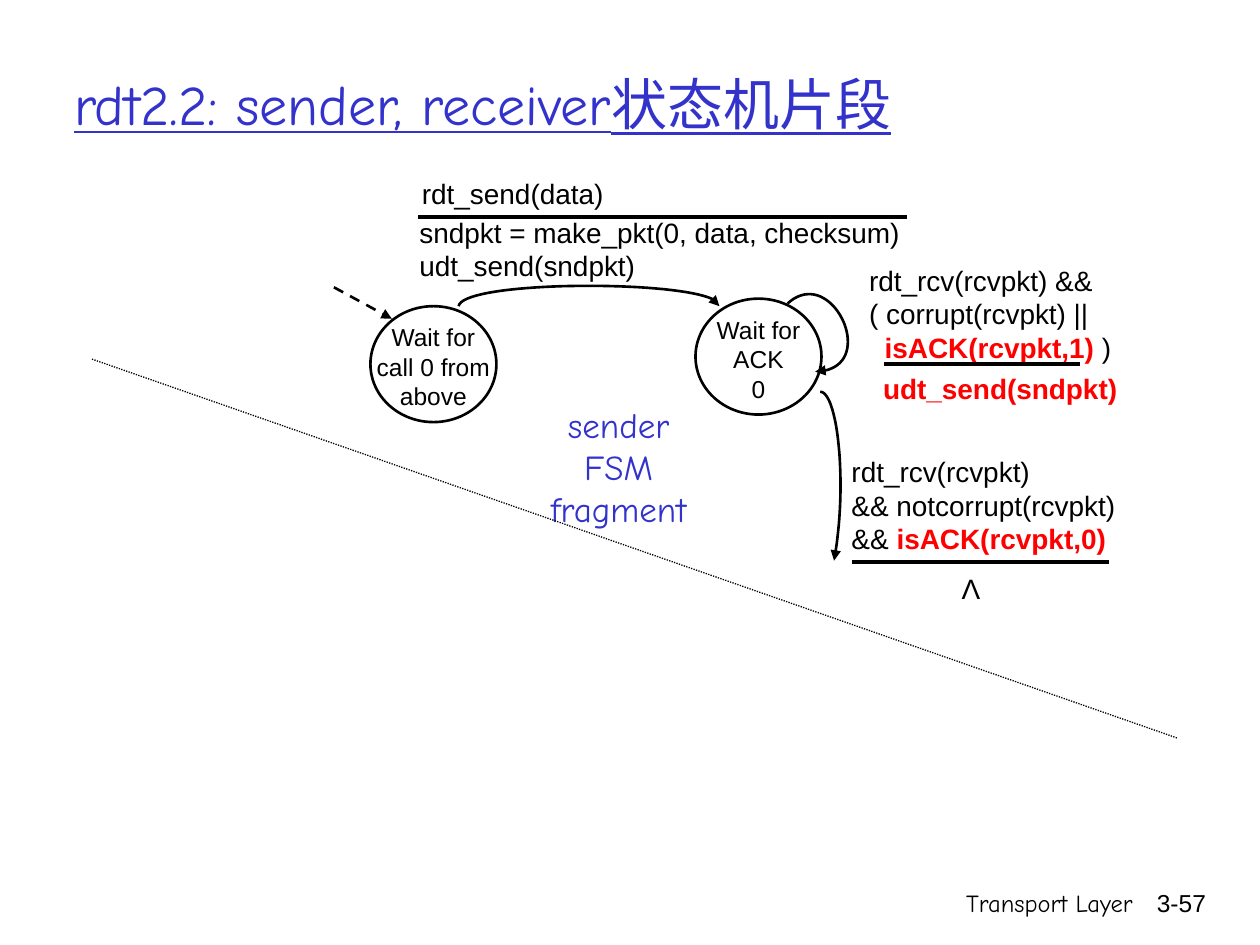
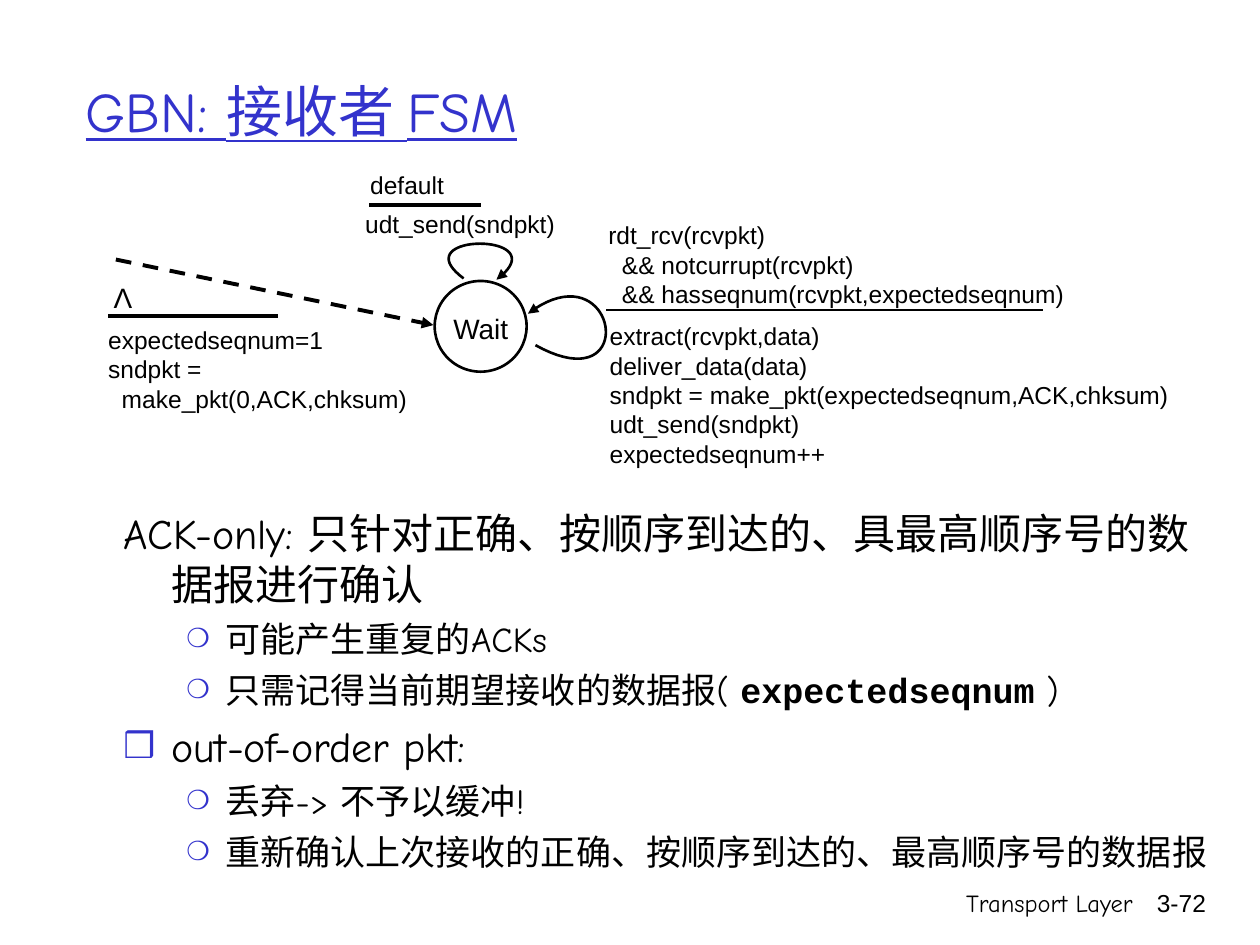
from lxml import etree
from pptx import Presentation
from pptx.dml.color import RGBColor
from pptx.enum.dml import MSO_LINE
from pptx.enum.shapes import MSO_CONNECTOR, MSO_SHAPE
from pptx.enum.text import MSO_ANCHOR, MSO_AUTO_SIZE, PP_ALIGN
from pptx.oxml.ns import qn
from pptx.util import Inches, Pt

LEFT, CENTER, RIGHT = PP_ALIGN.LEFT, PP_ALIGN.CENTER, PP_ALIGN.RIGHT
DASH, DOTS = MSO_LINE.DASH, MSO_LINE.ROUND_DOT
MIDDLE, TOP = MSO_ANCHOR.MIDDLE, MSO_ANCHOR.TOP
NO_FIT, STRAIGHT, OVAL = MSO_AUTO_SIZE.NONE, MSO_CONNECTOR.STRAIGHT, MSO_SHAPE.OVAL
TITLE_AND_BODY, TITLE_ONLY = 1, 5
BLACK, WHITE, BLUE, RED = "000000", "FFFFFF", "3333CC", "FF0000"
SANS, COMIC, MONO = "Arial", "Comic Neue", "Courier New"
CURVE_STEPS = 40


def rgb(value):
    return RGBColor.from_string(value)


def add_run(p, text, size, font=SANS, color=BLACK, bold=False):
    r = p.add_run()
    r.text = text
    r.font.size, r.font.name, r.font.bold = Pt(size), font, bold
    r.font.color.rgb = rgb(color)
    return r


def place(sp, box):
    sp.left, sp.top, sp.width, sp.height = map(Inches, box)


def add_text(s, box, lines, size=16, font=SANS, color=BLACK, align=LEFT, wrap=True):
    tf = s.shapes.add_textbox(*map(Inches, box)).text_frame
    tf.word_wrap = wrap
    for i, line in enumerate(lines):
        p = tf.paragraphs[0] if i == 0 else tf.add_paragraph()
        p.alignment, p.line_spacing = align, 1.0
        for part in [line] if isinstance(line, str) else line:
            if isinstance(part, str):
                add_run(p, part, size, font, color)
            else:
                add_run(p, part[0], size, font, part[1], True)


def style_line(sp, width, dash=None, arrow=False):
    line = sp.line
    line.color.rgb, line.width = rgb(BLACK), Pt(width)
    if dash:
        line.dash_style = dash
    if arrow:
        etree.SubElement(line._get_or_add_ln(), qn("a:tailEnd"), type="triangle")


def add_line(s, start, end, width=2.25, dash=None, arrow=False):
    sp = s.shapes.add_connector(STRAIGHT, *map(Inches, start + end))
    style_line(sp, width, dash, arrow)
    etree.SubElement(sp._element.spPr, qn("a:effectLst"))


def add_curve(s, *controls):
    points = []
    for i in range(CURVE_STEPS + 1):
        t = i / CURVE_STEPS
        weights = (1 - t) ** 3, 3 * t * (1 - t) ** 2, 3 * t * t * (1 - t), t ** 3
        points.append(tuple(Inches(sum(w * c[k] for w, c in zip(weights, controls)))
                            for k in (0, 1)))
    fb = s.shapes.build_freeform(*points[0])
    fb.add_line_segments(points[1:], close=False)
    sp = fb.convert_to_shape()
    sp.shadow.inherit = False
    sp.fill.background()
    style_line(sp, 1.5, arrow=True)


def add_state(s, box, lines, label_dx, label_dy, size=14):
    x, y, w, h = box
    sp = s.shapes.add_shape(OVAL, *map(Inches, box))
    sp.shadow.inherit = False
    sp.fill.solid()
    sp.fill.fore_color.rgb = rgb(WHITE)
    style_line(sp, 1.5)
    label = (x - label_dx, y + label_dy, w + 2 * label_dx, h - 2 * label_dy)
    add_text(s, label, lines, size, align=CENTER)


def add_slide(prs, layout, title, title_at, number):
    s = prs.slides.add_slide(prs.slide_layouts[layout])
    place(s.shapes.title, (*title_at, 8.5, 1.25))
    tf = s.shapes.title.text_frame
    tf.auto_size, tf.vertical_anchor = NO_FIT, MIDDLE
    p = tf.paragraphs[0]
    p.alignment, p.line_spacing = LEFT, 1.0
    add_run(p, title, 32, COMIC, BLUE).font.underline = True
    add_text(s, (5.92, 7, 3.17, 0.5), ["Transport Layer"], 14, COMIC, align=RIGHT)
    add_text(s, (8.93, 7, 0.74, 0.5), [number], 14, align=RIGHT)
    return s


def add_bullet(p, char, percent):
    pPr = p._p.get_or_add_pPr()
    color = etree.SubElement(pPr, qn("a:buClr"))
    etree.SubElement(color, qn("a:srgbClr"), val=BLUE)
    etree.SubElement(pPr, qn("a:buSzPct"), val=str(percent * 1000))
    etree.SubElement(pPr, qn("a:buChar"), char=char)


def fill_body(sp, box, items):
    place(sp, box)
    tf = sp.text_frame
    tf.auto_size, tf.vertical_anchor = NO_FIT, TOP
    for i, (level, bullet, runs) in enumerate(items):
        p = tf.paragraphs[0] if i == 0 else tf.add_paragraph()
        p.level = level
        size, before, margin, indent, percent = ((24, 6, 0.38, -0.38, 85),
                                                 (20, 5, 0.81, -0.31, 75))[level]
        pPr = p._p.get_or_add_pPr()
        pPr.set("marL", str(Inches(margin)))
        pPr.set("indent", str(Inches(indent)))
        if bullet:
            add_bullet(p, bullet, percent)
        else:
            etree.SubElement(pPr, qn("a:buNone"))
        p.alignment, p.line_spacing = LEFT, 1.0
        p.space_before = Pt(before if i else 0)
        for text, font, bold in runs:
            add_run(p, text, size, font, bold=bold)


def sender_states(s):
    add_state(s, (2.94, 2.43, 1, 0.92), ["Wait for call 0 from above"], 0.08, 0.08)
    add_state(s, (5.52, 2.37, 1, 0.92), ["Wait for ACK", "0"], 0.08, 0.08)
    add_line(s, (2.65, 2.28), (3.11, 2.53), 1.5, DASH, True)
    add_text(s, (4.09, 3.15, 1.64, 0.77), ["sender FSM", "fragment"], 20, COMIC, BLUE,
             CENTER, wrap=False)
    add_line(s, (0.73, 2.85), (9.35, 5.86), 0.75, DOTS)


def sender_transitions(s):
    add_text(s, (3.25, 1.35, 1.89, 0.31), ["rdt_send(data)"])
    add_line(s, (3.32, 1.72), (7.2, 1.72))
    add_text(s, (3.23, 1.66, 4.07, 0.44),
             ["sndpkt = make_pkt(0, data, checksum)", "udt_send(sndpkt)"])
    add_curve(s, (3.64, 2.43), (3.68, 2.21), (5.71, 2.22), (5.71, 2.43))

    add_text(s, (6.8, 2.04, 2.97, 0.63),
             ["rdt_rcv(rcvpkt) &&", "( corrupt(rcvpkt) ||",
              ["  ", ("isACK(rcvpkt,1)", RED), " )"]])
    add_line(s, (7.02, 2.89), (8.57, 2.89))
    add_text(s, (6.91, 2.9, 2.32, 0.44), [[("udt_send(sndpkt)", RED)]])
    add_curve(s, (6.25, 2.41), (6.61, 2.08), (7, 2.94), (6.47, 2.95))

    add_text(s, (6.66, 3.56, 2.64, 0.63),
             ["rdt_rcv(rcvpkt)", "&& notcorrupt(rcvpkt)",
              ["&& ", ("isACK(rcvpkt,0)", RED)]])
    add_line(s, (6.76, 4.46), (8.8, 4.46))
    add_text(s, (7.5, 4.49, 0.41, 0.37), ["Λ"], align=CENTER)
    add_curve(s, (6.51, 3.11), (6.65, 3.11), (6.73, 3.85), (6.62, 4.45))


def receiver_fsm(s):
    add_state(s, (3.45, 2.23, 0.73, 0.72), ["Wait"], 0.07, 0.19, 16)

    add_line(s, (0.92, 2.06), (3.44, 2.58), 2.25, DASH, True)
    add_text(s, (0.8, 2.18, 0.35, 0.37), ["Λ"], align=CENTER, wrap=False)
    add_line(s, (0.86, 2.51), (2.21, 2.51))
    add_text(s, (0.76, 2.53, 3.98, 1.07),
             ["expectedseqnum=1", "sndpkt =", "  make_pkt(0,ACK,chksum)"], 14)

    add_text(s, (2.84, 1.3, 0.9, 0.27), ["default"], 14)
    add_line(s, (2.93, 1.63), (3.82, 1.63))
    add_text(s, (2.8, 1.61, 1.77, 0.34), ["udt_send(sndpkt)"], 14)
    add_curve(s, (3.68, 2.21), (3.18, 1.84), (4.45, 1.84), (3.94, 2.22))

    add_text(s, (4.73, 1.7, 3.9, 0.62),
             ["rdt_rcv(rcvpkt)", "  && notcurrupt(rcvpkt)",
              "  && hasseqnum(rcvpkt,expectedseqnum)"], 14)
    add_line(s, (4.81, 2.46), (8.28, 2.46), 1.5)
    add_text(s, (4.74, 2.5, 4.72, 0.94),
             ["extract(rcvpkt,data)", "deliver_data(data)",
              "sndpkt = make_pkt(expectedseqnum,ACK,chksum)",
              "udt_send(sndpkt)", "expectedseqnum++"], 14)
    add_curve(s, (4.25, 2.74), (5.1, 3.21), (4.9, 1.95), (4.19, 2.49))


def sender_slide(prs):
    s = add_slide(prs, TITLE_ONLY, "rdt2.2: sender, receiver状态机片段", (0.49, 0.19), "3-57")
    sender_states(s)
    sender_transitions(s)


def receiver_slide(prs):
    s = add_slide(prs, TITLE_AND_BODY, "GBN: 接收者 FSM", (0.58, 0.25), "3-72")
    fill_body(s.placeholders[1], (0.88, 3.98, 8.91, 3.12), [
        (0, None, [("ACK-only: 只针对正确、按顺序到达的、具最高顺序号的数据报进行确认", COMIC, False)]),
        (1, "❍", [("可能产生重复的ACKs", COMIC, False)]),
        (1, "❍", [("只需记得当前期望接收的数据报", MONO, False), ("( ", COMIC, False),
                  ("expectedseqnum", MONO, True), (" )", COMIC, False)]),
        (0, "❒", [("out-of-order pkt:", COMIC, False)]),
        (1, "❍", [("丢弃-> 不予以缓冲!", COMIC, False)]),
        (1, "❍", [("重新确认上次接收的正确、按顺序到达的、最高顺序号的数据报", COMIC, False)]),
    ])
    receiver_fsm(s)


def main():
    prs = Presentation()
    prs.slide_width, prs.slide_height = Inches(10), Inches(7.5)
    sender_slide(prs)
    receiver_slide(prs)
    prs.save("out.pptx")


if __name__ == "__main__":
    main()
